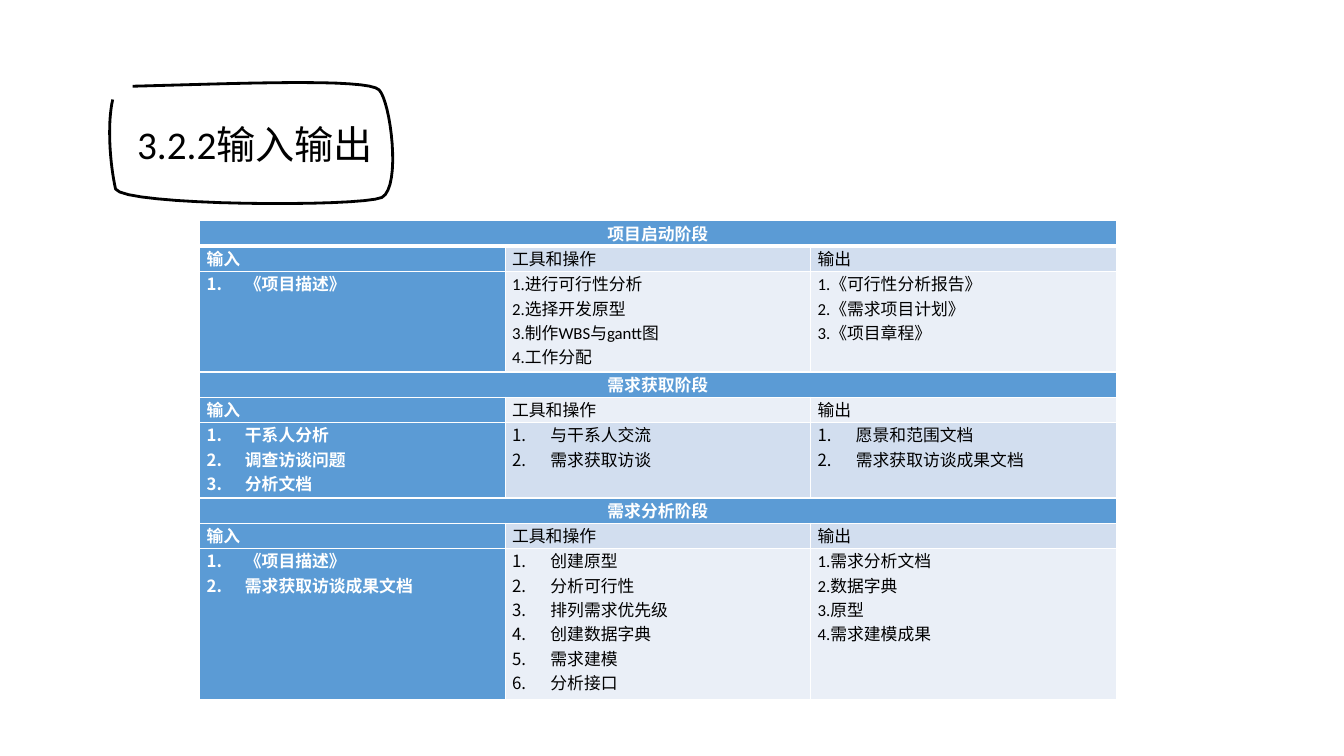
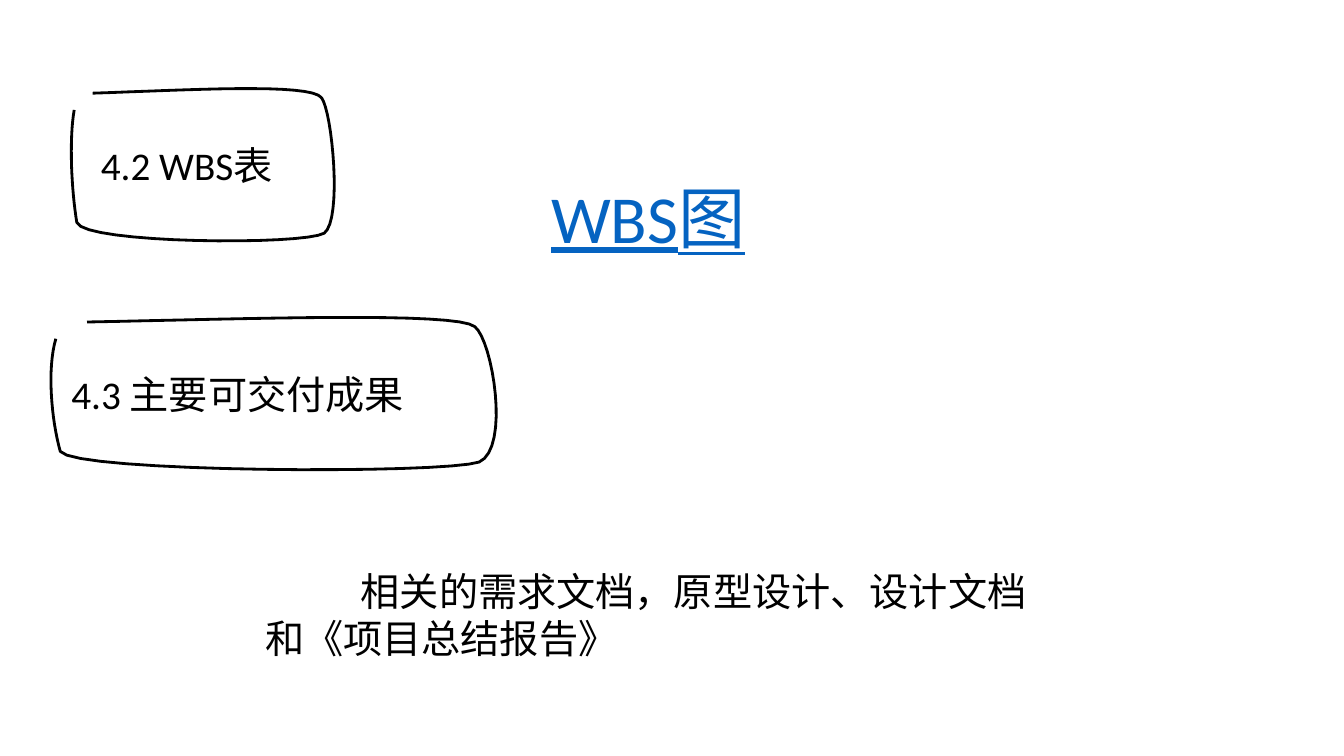
from dataclasses import dataclass

from lxml import etree
from pptx import Presentation
from pptx.dml.color import RGBColor
from pptx.enum.lang import MSO_LANGUAGE_ID
from pptx.enum.text import MSO_ANCHOR, MSO_AUTO_SIZE, PP_ALIGN
from pptx.oxml.ns import qn
from pptx.util import Inches, Pt

LEFT, CENTER, JUSTIFY = PP_ALIGN.LEFT, PP_ALIGN.CENTER, PP_ALIGN.JUSTIFY
TOP = MSO_ANCHOR.TOP
FIT_NONE, FIT_SHAPE = MSO_AUTO_SIZE.NONE, MSO_AUTO_SIZE.SHAPE_TO_FIT_TEXT
CHINESE = MSO_LANGUAGE_ID.SIMPLIFIED_CHINESE
TITLE_ONLY = 5


@dataclass(frozen=True)
class Theme:
    font: str = "Calibri"
    ink: str = "000000"
    paper: str = "FFFFFF"
    accent: str = "5B9BD5"
    bands: tuple = ("EAEFF7", "D2DEEF")  # even rows, odd rows
    link: str = "0563C1"
    table_size: int = 12
    text_size: int = 28
    link_size: int = 48
    line_width: int = 2


# Hand-drawn frame as fractions of its box: a start, then cubic curves
FRAME_START = (0.08, 0.03)
FRAME_CURVES = [
    ((0.43, 0.01), (0.91, -0.04), (0.95, 0.06)),
    ((0.99, 0.15), (1.03, 0.86), (0.96, 0.95)),
    ((0.88, 1.03), (0.05, 1.02), (0.02, 0.88)),
    ((0, 0.67), (-0.01, 0.34), (0.01, 0.14)),
]
CURVE_STEPS = 16


def frame_points():
    """Sample the frame's curves into points, as fractions of its box."""
    points = [FRAME_START]
    for curve in FRAME_CURVES:
        corners = (points[-1], *curve)
        for step in range(1, CURVE_STEPS + 1):
            t = step / CURVE_STEPS
            weights = ((1 - t) ** 3, 3 * t * (1 - t) ** 2, 3 * t * t * (1 - t), t ** 3)
            points.append(tuple(sum(w * c[axis] for w, c in zip(weights, corners))
                                for axis in (0, 1)))
    return points


class Deck:
    def __init__(self, theme):
        self.theme = theme
        self.deck = Presentation()
        self.deck.slide_width, self.deck.slide_height = Inches(13.33), Inches(7.5)
        self.page = None

    def add_page(self):
        self.page = self.deck.slides.add_slide(self.deck.slide_layouts[TITLE_ONLY])

    def add_span(self, para, text, size, color, bold=False, underline=False):
        span = para.add_run()
        span.text = text
        font = span.font
        font.name, font.size = self.theme.font, Pt(size)
        font.bold, font.underline = bold, underline
        font.color.rgb = RGBColor.from_string(color)
        font.language_id = CHINESE

    def frame(self, left, top, width, height):
        start, *rest = [(Inches(left + x * width), Inches(top + y * height))
                        for x, y in frame_points()]
        builder = self.page.shapes.build_freeform(*start)
        builder.add_line_segments(rest, close=False)
        outline = builder.convert_to_shape()
        outline.shadow.inherit = False
        outline.fill.solid()
        outline.fill.fore_color.rgb = RGBColor.from_string(self.theme.paper)
        outline.line.color.rgb = RGBColor.from_string(self.theme.ink)
        outline.line.width = Pt(self.theme.line_width)
        return outline

    def title(self, text, frame, at):
        """Put the page title in front of its hand-drawn frame."""
        outline = self.frame(*frame)
        box = self.page.shapes.title
        outline.element.addnext(box.element)
        box.left, box.top, box.width, box.height = map(Inches, at)
        box.text_frame.auto_size = FIT_NONE
        box.text_frame.vertical_anchor = TOP
        para = box.text_frame.paragraphs[0]
        para.alignment = LEFT
        self.add_span(para, text, self.theme.text_size, self.theme.ink)

    def text(self, text, at, size=None, color=None, align=LEFT, indent=0, underline=False):
        box = self.page.shapes.add_textbox(*map(Inches, at))
        box.text_frame.word_wrap = True
        box.text_frame.auto_size = FIT_SHAPE
        para = box.text_frame.paragraphs[0]
        para.alignment = align
        if indent:
            para._p.get_or_add_pPr().set("indent", str(Inches(indent)))
        self.add_span(para, text, size or self.theme.text_size,
                      color or self.theme.ink, underline=underline)

    def number(self, para):
        """Give a paragraph an automatic number and a hanging indent."""
        props = para._p.get_or_add_pPr()
        props.set("marL", str(Inches(0.38)))
        props.set("indent", str(Inches(-0.38)))
        etree.SubElement(props, qn("a:buFont"), typeface=self.theme.font)
        etree.SubElement(props, qn("a:buAutoNum"), type="arabicPeriod")

    def borders(self, cell, bottom):
        props = cell._tc.get_or_add_tcPr()
        for place, side in enumerate(("L", "R", "T", "B")):
            width = Pt(bottom if side == "B" else 1)
            line = etree.Element(qn(f"a:ln{side}"), w=str(width))
            fill = etree.SubElement(line, qn("a:solidFill"))
            etree.SubElement(fill, qn("a:srgbClr"), val=self.theme.paper)
            props.insert(place, line)

    def cell(self, cell, lines, fill, strong, align=JUSTIFY, numbered=False, bottom=1):
        cell.margin_left = cell.margin_right = Inches(0.07)
        cell.margin_top = cell.margin_bottom = 0
        cell.fill.solid()
        cell.fill.fore_color.rgb = RGBColor.from_string(fill)
        self.borders(cell, bottom)
        color = self.theme.paper if strong else self.theme.ink
        for place, line in enumerate(lines):
            frame = cell.text_frame
            para = frame.add_paragraph() if place else frame.paragraphs[0]
            para.alignment = align
            if numbered:
                self.number(para)
            self.add_span(para, line, self.theme.table_size, color, bold=strong)

    def stage_table(self, stages, labels, left, top, column_width, line_height):
        """Three rows a stage: its name, the column labels and the lists."""
        theme, columns = self.theme, len(labels)
        depths = [depth for _, lists in stages
                  for depth in (1, 1, max(len(lines) for lines, _ in lists))]
        table = self.page.shapes.add_table(
            len(depths), columns, Inches(left), Inches(top),
            Inches(column_width * columns), Inches(line_height * sum(depths))).table
        table.first_row = table.horz_banding = False
        for column in table.columns:
            column.width = Inches(column_width)
        for row, depth in zip(table.rows, depths):
            row.height = Inches(line_height * depth)
        for order, (name, lists) in enumerate(stages):
            first = order * 3
            bottom = 1 if order else 3
            for place in range(columns):
                self.cell(table.cell(first, place), [] if place else [name],
                          theme.accent, True, CENTER, bottom=bottom)
            table.cell(first, 0).merge(table.cell(first, columns - 1))
            contents = ([([label], False) for label in labels], lists)
            for row, entries in enumerate(contents, first + 1):
                for place, (lines, numbered) in enumerate(entries):
                    strong = place == 0
                    fill = theme.accent if strong else theme.bands[row % 2]
                    self.cell(table.cell(row, place), lines, fill, strong,
                              numbered=numbered)


def auto(*items):
    return items, True


def typed(*items):
    return [f"{place}.{item}" for place, item in enumerate(items, 1)], False


LABELS = ("输入", "工具和操作", "输出")
STAGES = [
    ("项目启动阶段", [
        auto("《项目描述》"),
        typed("进行可行性分析", "选择开发原型", "制作WBS与gantt图", "工作分配"),
        typed("《可行性分析报告》", "《需求项目计划》", "《项目章程》"),
    ]),
    ("需求获取阶段", [
        auto("干系人分析", "调查访谈问题", "分析文档"),
        auto("与干系人交流", "需求获取访谈"),
        auto("愿景和范围文档", "需求获取访谈成果文档"),
    ]),
    ("需求分析阶段", [
        auto("《项目描述》", "需求获取访谈成果文档"),
        auto("创建原型", "分析可行性", "排列需求优先级", "创建数据字典",
             "需求建模", "分析接口"),
        typed("需求分析文档", "数据字典", "原型", "需求建模成果"),
    ]),
]


def main():
    theme = Theme()
    deck = Deck(theme)

    # Inputs and outputs of each stage
    deck.add_page()
    deck.title("3.2.2输入输出", (1.09, 0.82, 2.81, 1.2), (1.26, 1.14, 3.01, 0.57))
    deck.stage_table(STAGES, LABELS, left=1.98, top=2.19, column_width=3.03,
                     line_height=0.25)

    # Work breakdown and deliverables
    deck.add_page()
    deck.title("4.2 WBS表", (0.71, 0.88, 2.61, 1.51), (0.9, 1.35, 4.84, 0.57))
    deck.text("WBS图", (2.9, 1.7, 7.06, 0.91), theme.link_size, theme.link,
              CENTER, underline=True)
    deck.frame(0.51, 3.15, 4.42, 1.51)
    deck.text("4.3 主要可交付成果", (0.61, 3.62, 4.84, 0.57))
    deck.text("相关的需求文档，原型设计、设计文档和《项目总结报告》",
              (2.53, 5.58, 7.81, 1.04), indent=0.95)

    deck.deck.save("out.pptx")


if __name__ == "__main__":
    main()
